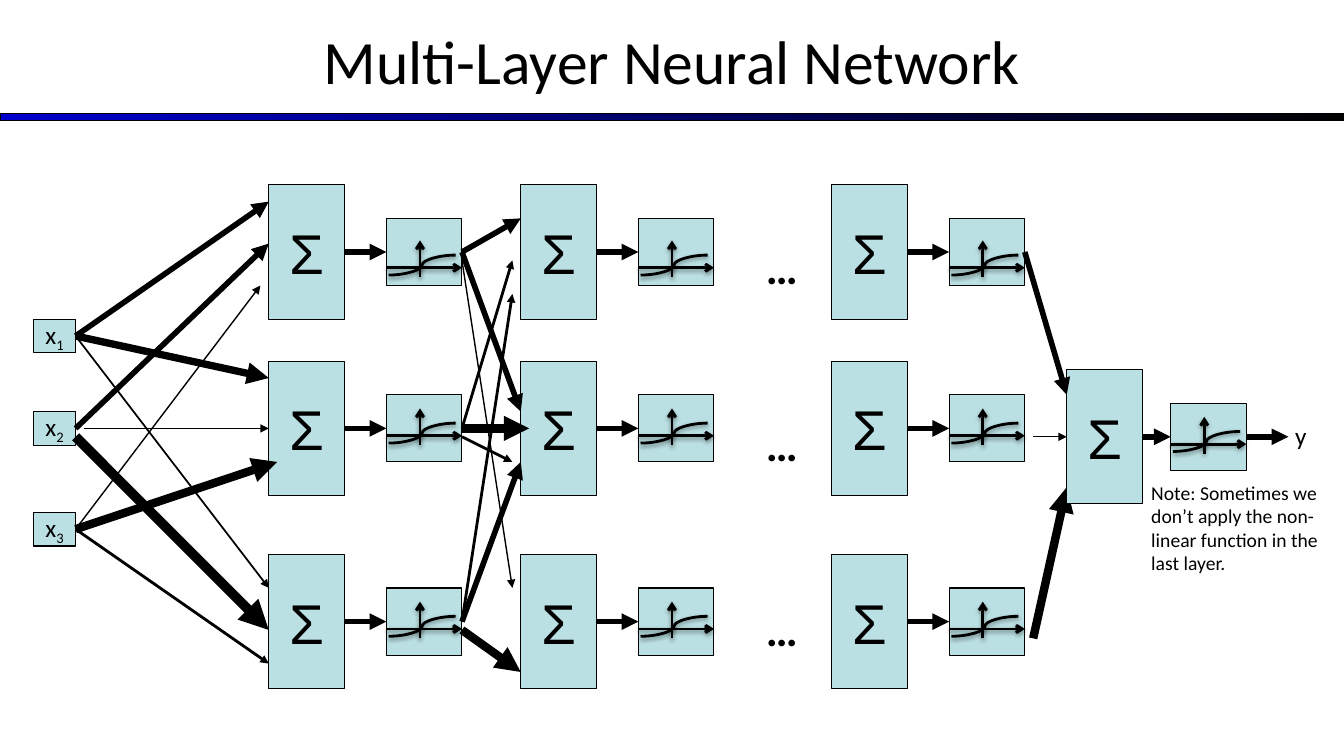
"""Build the multi-layer neural network slide."""
from dataclasses import dataclass, field

from lxml.etree import SubElement
from pptx import Presentation
from pptx.dml.color import RGBColor
from pptx.enum.shapes import MSO_CONNECTOR, MSO_SHAPE
from pptx.enum.text import MSO_ANCHOR, PP_ALIGN
from pptx.oxml.ns import qn
from pptx.util import Emu, Pt

PX = 9525


@dataclass(frozen=True)
class Theme:
    black: RGBColor = RGBColor(0x00, 0x00, 0x00)
    blue: RGBColor = RGBColor(0x00, 0x00, 0xCC)
    node: RGBColor = RGBColor(0xBB, 0xE0, 0xE3)
    sans: str = "Calibri"
    symbol: str = "Arial"
    title: int = 44
    sigma: int = 40
    dots: int = 32
    label: int = 18
    note: int = 14


@dataclass(frozen=True)
class Box:
    x: int
    y: int
    w: int
    h: int

    def emu(self) -> list[Emu]:
        return [Emu(v * PX) for v in (self.x, self.y, self.w, self.h)]

    def sides(self) -> list[tuple[int, int]]:
        cx, cy = self.x + self.w // 2, self.y + self.h // 2
        return [(cx, self.y), (self.x, cy), (cx, self.y + self.h), (self.x + self.w, cy)]


@dataclass(frozen=True)
class Link:
    x1: int
    y1: int
    x2: int
    y2: int
    weight: float = 4


@dataclass
class Network:
    shapes: object
    nodes: list = field(default_factory=list)
    links: list = field(default_factory=list)


THEME = Theme()
ROWS = (240, 408, 592)
LAYERS = (256, 496, 792)
INPUTS = (320, 408, 504)
OUTPUT_Y = 416
BACK_LINKS = [Link(984, 608, 1016, 464, 6), Link(984, 416, 1016, 416, 1)]
WEIGHTS = [
    Link(72, 320, 256, 560, 1.25), Link(72, 416, 256, 600, 7), Link(72, 504, 256, 632, 2),
    Link(72, 320, 256, 360, 5.25), Link(80, 408, 256, 408, 1), Link(72, 504, 264, 440, 6),
    Link(72, 320, 256, 192), Link(72, 408, 256, 232), Link(72, 504, 248, 272, 1),
    Link(976, 240, 1016, 376), Link(1187, 416, 1227, 416),
    Link(440, 240, 496, 208), Link(440, 240, 496, 392), Link(440, 248, 488, 560, 1),
    Link(440, 600, 496, 640, 6), Link(440, 408, 504, 408, 6), Link(440, 592, 496, 440),
    Link(440, 592, 488, 280, 2), Link(440, 408, 488, 248, 2), Link(440, 416, 488, 440, 2),
]


def set_font(p, size: int, name: str = THEME.sans, bold: bool = False) -> None:
    p.font.size, p.font.name, p.font.bold = Pt(size), name, bold
    p.font.color.rgb = THEME.black


def add_line(net: Network, link: Link, kind=MSO_CONNECTOR.STRAIGHT,
             head: str = "triangle", shadow: bool = False):
    ends = (Emu(v * PX) for v in (link.x1, link.y1, link.x2, link.y2))
    sp = net.shapes.add_connector(kind, *ends)
    sp.line.width = Pt(link.weight)
    sp.line.color.rgb = THEME.black
    if head:
        SubElement(sp.line._get_or_add_ln(), qn("a:tailEnd"), type=head)
    effects = SubElement(sp._element.spPr, qn("a:effectLst"))
    if shadow:
        outer = SubElement(effects, qn("a:outerShdw"), blurRad="40000", dist="20000",
                           dir="5400000", rotWithShape="0")
        color = SubElement(outer, qn("a:srgbClr"), val=str(THEME.black))
        SubElement(color, qn("a:alpha"), val="38000")
    return sp


def add_link(net: Network, link: Link) -> None:
    net.links.append((add_line(net, link), link))


def glue_links(net: Network) -> None:
    sites = {pt: (sp, i) for sp, box in net.nodes for i, pt in enumerate(box.sides())}
    for line, link in net.links:
        start, end = sites.get((link.x1, link.y1)), sites.get((link.x2, link.y2))
        if start:
            line.begin_connect(*start)
        if end:
            line.end_connect(*end)


def add_node(net: Network, box: Box, text: str = "", sub: str = "",
             size: int = THEME.label, name: str = THEME.sans) -> None:
    sp = net.shapes.add_shape(MSO_SHAPE.RECTANGLE, *box.emu())
    sp.shadow.inherit = False
    sp.fill.solid()
    sp.fill.fore_color.rgb = THEME.node
    sp.line.color.rgb = THEME.black
    sp.line.width = Pt(0.75)
    net.nodes.append((sp, box))
    if text:
        tf = sp.text_frame
        tf.word_wrap, tf.vertical_anchor = False, MSO_ANCHOR.MIDDLE
        p = tf.paragraphs[0]
        p.alignment = PP_ALIGN.CENTER
        p.add_run().text = text
        if sub:
            r = p.add_run()
            r.text = sub
            r._r.get_or_add_rPr().set("baseline", "-25000")
        set_font(p, size, name)


def add_neuron(net: Network, x: int, mid: int, gap: int = 40, axis: int = 7) -> None:
    add_node(net, Box(x, mid - 64, 72, 128), "Σ", size=THEME.sigma, name=THEME.symbol)
    left, base = x + 72 + gap, mid + axis
    add_node(net, Box(left, mid - 32, 72, 64))
    add_link(net, Link(x + 72, mid, left, mid))
    add_line(net, Link(left, base, left + 72, base, 2), head="arrow", shadow=True)
    add_line(net, Link(left + 32, base + 9, left + 32, base - 26, 2), head="arrow", shadow=True)
    add_line(net, Link(left + 2, base + 7, left + 66, base - 12, 2),
             MSO_CONNECTOR.CURVE, head="", shadow=True)


def add_text(net: Network, box: Box, text: str, size: int,
             bold: bool = False, wrap: bool = True) -> None:
    tf = net.shapes.add_textbox(*box.emu()).text_frame
    tf.word_wrap = wrap
    p = tf.paragraphs[0]
    p.text = text
    set_font(p, size, bold=bold)


def add_header(s) -> None:
    title = s.shapes.title
    title.left, title.top, title.width, title.height = Box(0, -3, 1280, 120).emu()
    tf = title.text_frame
    tf.vertical_anchor = MSO_ANCHOR.MIDDLE
    p = tf.paragraphs[0]
    p.text = "Multi-Layer Neural Network"
    p.alignment = PP_ALIGN.CENTER
    set_font(p, THEME.title)
    bar = s.shapes.add_shape(MSO_SHAPE.RECTANGLE, *Box(0, 108, 1280, 7).emu())
    bar.shadow.inherit = False
    bar.fill.gradient()
    bar.fill.gradient_angle = 0
    for stop, color in zip(bar.fill.gradient_stops, (THEME.blue, THEME.black)):
        stop.color.rgb = color
    bar.line.color.rgb = THEME.black
    bar.line.width = Pt(0.75)


def main() -> None:
    prs = Presentation()
    prs.slide_width, prs.slide_height = Emu(1280 * PX), Emu(720 * PX)
    s = prs.slides.add_slide(prs.slide_layouts[5])
    add_header(s)
    net = Network(s.shapes)
    for link in BACK_LINKS:
        add_link(net, link)
    for i, mid in enumerate(INPUTS, 1):
        add_node(net, Box(32, mid - 16, 40, 32), "x", str(i))
    for x in LAYERS:
        for mid in ROWS:
            add_neuron(net, x, mid, axis=15 if mid == ROWS[0] else 7)
    add_neuron(net, 1016, OUTPUT_Y, gap=27)
    for link in WEIGHTS:
        add_link(net, link)
    glue_links(net)
    for y in (224, 392, 568):
        add_text(net, Box(720, y, 49, 60), "…", THEME.dots, bold=True, wrap=False)
    add_text(net, Box(1224, 396, 24, 42), "y", THEME.label)
    add_text(net, Box(1087, 453, 191, 107),
             "Note: Sometimes we don’t apply the non-linear function in the last layer.", THEME.note)
    prs.save("out.pptx")


if __name__ == "__main__":
    main()
